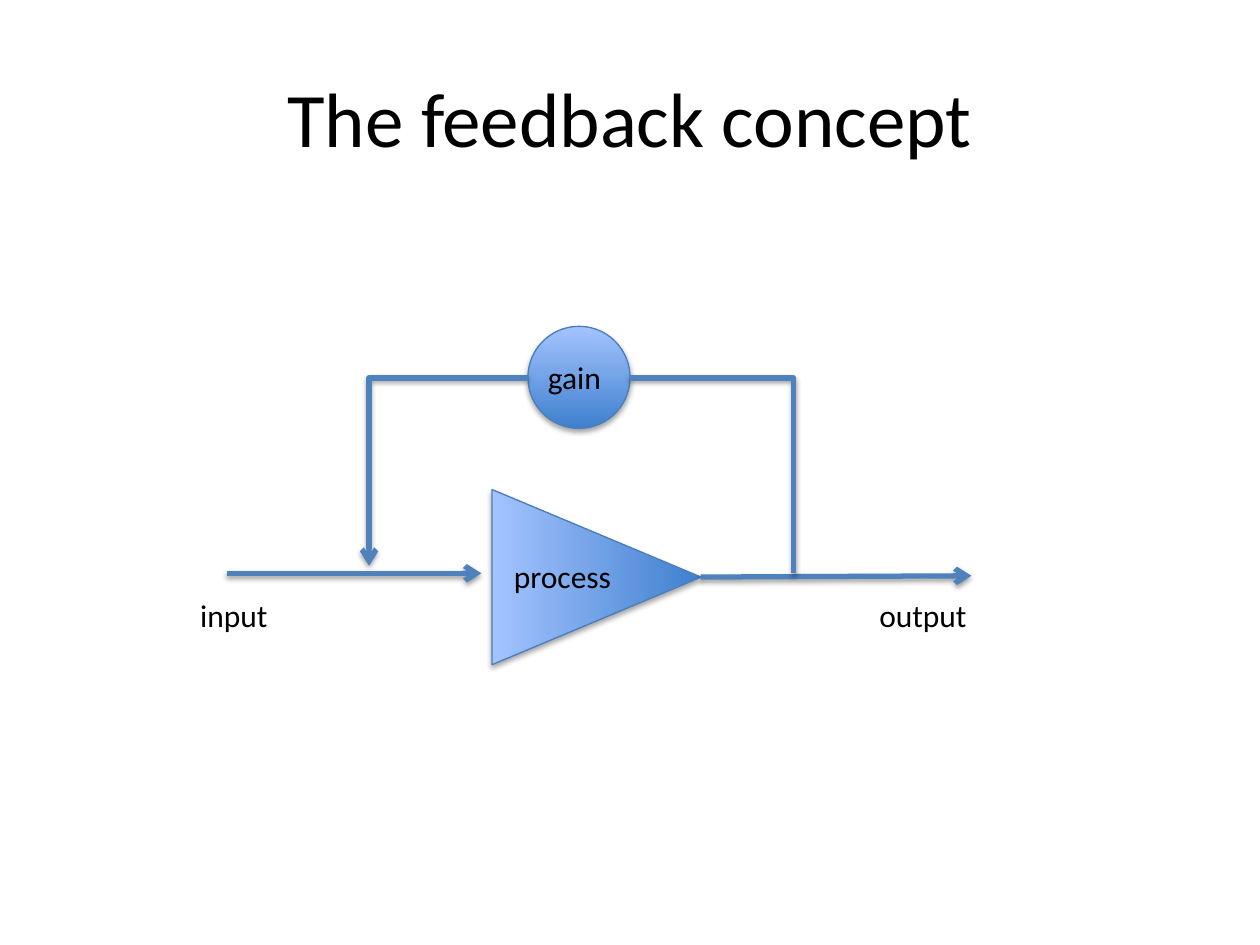
from lxml.etree import SubElement as Sub
from pptx import Presentation
from pptx.dml.color import RGBColor as RGB
from pptx.enum.shapes import MSO_CONNECTOR as Conn, MSO_SHAPE as Kind
from pptx.enum.text import MSO_ANCHOR as Anchor, PP_ALIGN as Align
from pptx.oxml.ns import qn
from pptx.util import Inches, Pt

COLORS = {"text": "000000", "line": "4F81BD", "edge": "4B7EBC",
          "dark": "3F80CE", "light": "A4C4FF", "shade": "000000"}


def color(name):
    """Return the named palette color."""
    return RGB.from_string(COLORS[name])


def write(frame, text, size=18, align=Align.LEFT, anchor=Anchor.TOP):
    """Put one formatted paragraph in a text frame."""
    frame.word_wrap = True
    frame.vertical_anchor = anchor
    para = frame.paragraphs[0]
    para.text = text
    para.alignment = align
    font = para.runs[0].font
    font.name, font.size = "Calibri", Pt(size)
    font.color.rgb = color("text")


def shade(item, alpha, dist):
    """Give a shape or connector a soft shadow below it."""
    effects = Sub(item._element.spPr, qn("a:effectLst"))
    outer = Sub(effects, qn("a:outerShdw"), blurRad=str(Pt(3.1)),
                dist=str(Pt(dist)), dir="5400000", rotWithShape="0")
    tone = Sub(outer, qn("a:srgbClr"), val=COLORS["shade"])
    Sub(tone, qn("a:alpha"), val=str(alpha * 1000))


def label(slide, text, left, top, width=1.08):
    """Add a text label."""
    box = slide.shapes.add_textbox(
        Inches(left), Inches(top), Inches(width), Inches(0.4))
    write(box.text_frame, text)


def block(slide, kind, left, top, width, height, turn=0):
    """Add a shaded block with a gradient fill."""
    shape = slide.shapes.add_shape(
        kind, Inches(left), Inches(top), Inches(width), Inches(height))
    shape.rotation = turn
    shape.fill.gradient()
    shape.fill.gradient_angle = 90
    for stop, name in zip(shape.fill.gradient_stops, ("dark", "light")):
        stop.color.rgb = color(name)
    stop.position = 1
    shape.line.color.rgb = color("edge")
    shape.line.width = Pt(0.75)
    shade(shape, 35, 1.8)


def wire(slide, start, end, bent=False, arrow=True):
    """Add a straight or one-bend wire between two points."""
    kind = Conn.ELBOW if bent else Conn.STRAIGHT
    link = slide.shapes.add_connector(kind, *map(Inches, start + end))
    if bent:
        geom = link._element.spPr.find(qn("a:prstGeom"))
        geom.set("prst", "bentConnector2")
    link.line.color.rgb = color("line")
    link.line.width = Pt(3)
    if arrow:
        Sub(link.line._get_or_add_ln(), qn("a:tailEnd"), type="arrow")
    shade(link, 38, 1.6)


def heading(slide, text, left, top, width, height):
    """Place and fill the title."""
    title = slide.shapes.title
    title.left, title.top = Inches(left), Inches(top)
    title.width, title.height = Inches(width), Inches(height)
    write(title.text_frame, text, size=44, align=Align.CENTER,
          anchor=Anchor.MIDDLE)


def diagram(slide, left, top):
    """Draw the feedback loop from its top left corner."""
    def at(x, y):
        """Shift a point into the diagram."""
        return left + x, top + y

    block(slide, Kind.FLOWCHART_MERGE, *at(2.55, 1.16), 1.39, 1.66, turn=270)
    wire(slide, at(0.31, 1.96), at(2.33, 1.96))
    wire(slide, at(4.07, 1.99), at(6.22, 1.98))
    block(slide, Kind.OVAL, *at(2.7, 0), 0.81, 0.81)
    wire(slide, at(3.51, 0.41), at(4.81, 1.96), bent=True, arrow=False)
    wire(slide, at(2.7, 0.41), at(1.44, 1.9), bent=True)
    label(slide, "process", *at(2.49, 1.78))
    label(slide, "input", *at(0, 2.09))
    label(slide, "output", *at(5.39, 2.09))
    label(slide, "gain", *at(2.76, 0.2), width=0.75)


def main():
    """Build and save the slide."""
    deck = Presentation()
    deck.slide_width, deck.slide_height = Inches(10), Inches(7.5)
    slide = deck.slides.add_slide(deck.slide_layouts[5])
    heading(slide, "The feedback concept", 0.5, 0.3, 9, 1.25)
    diagram(slide, 1.49, 2.59)
    deck.save("out.pptx")


if __name__ == "__main__":
    main()
